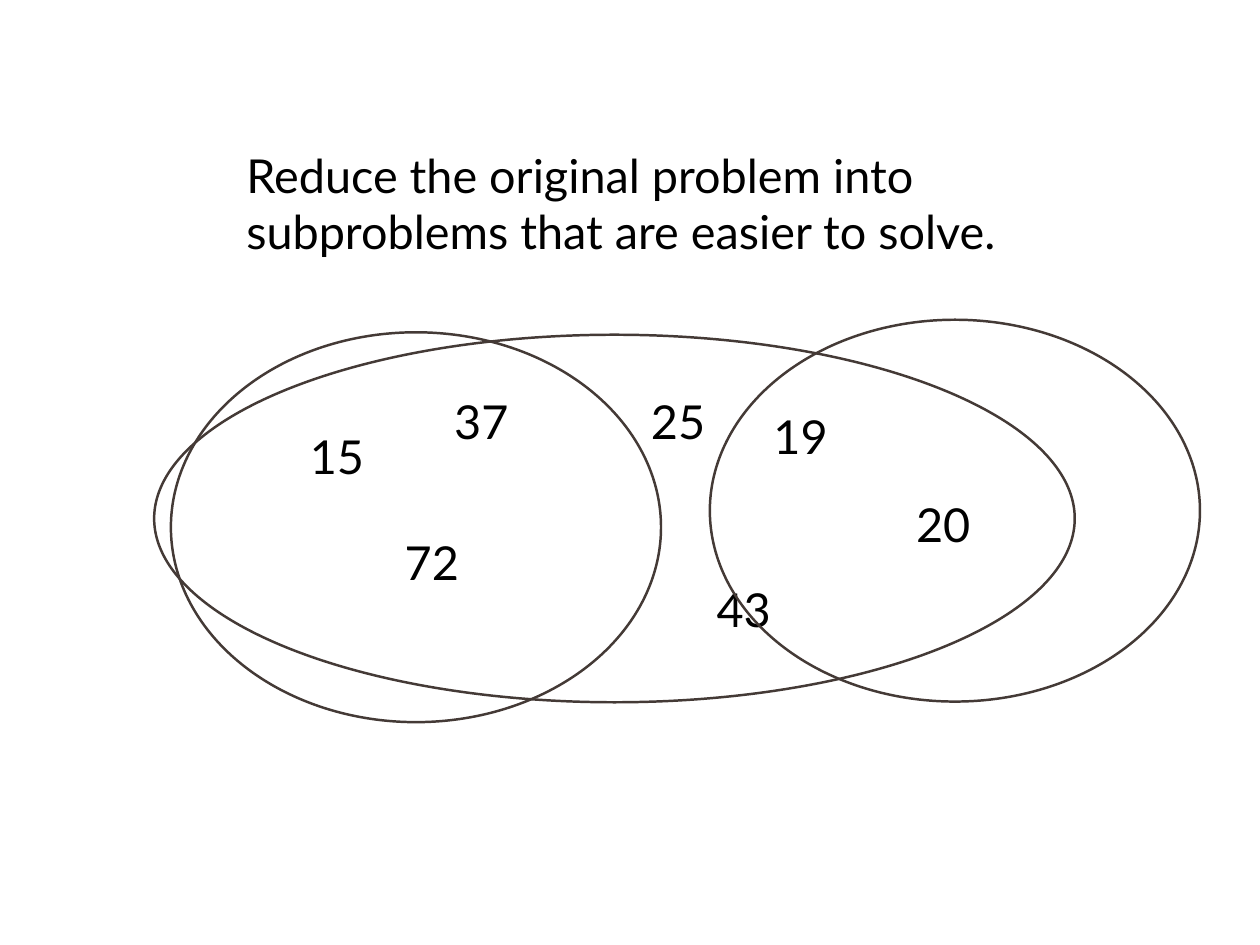
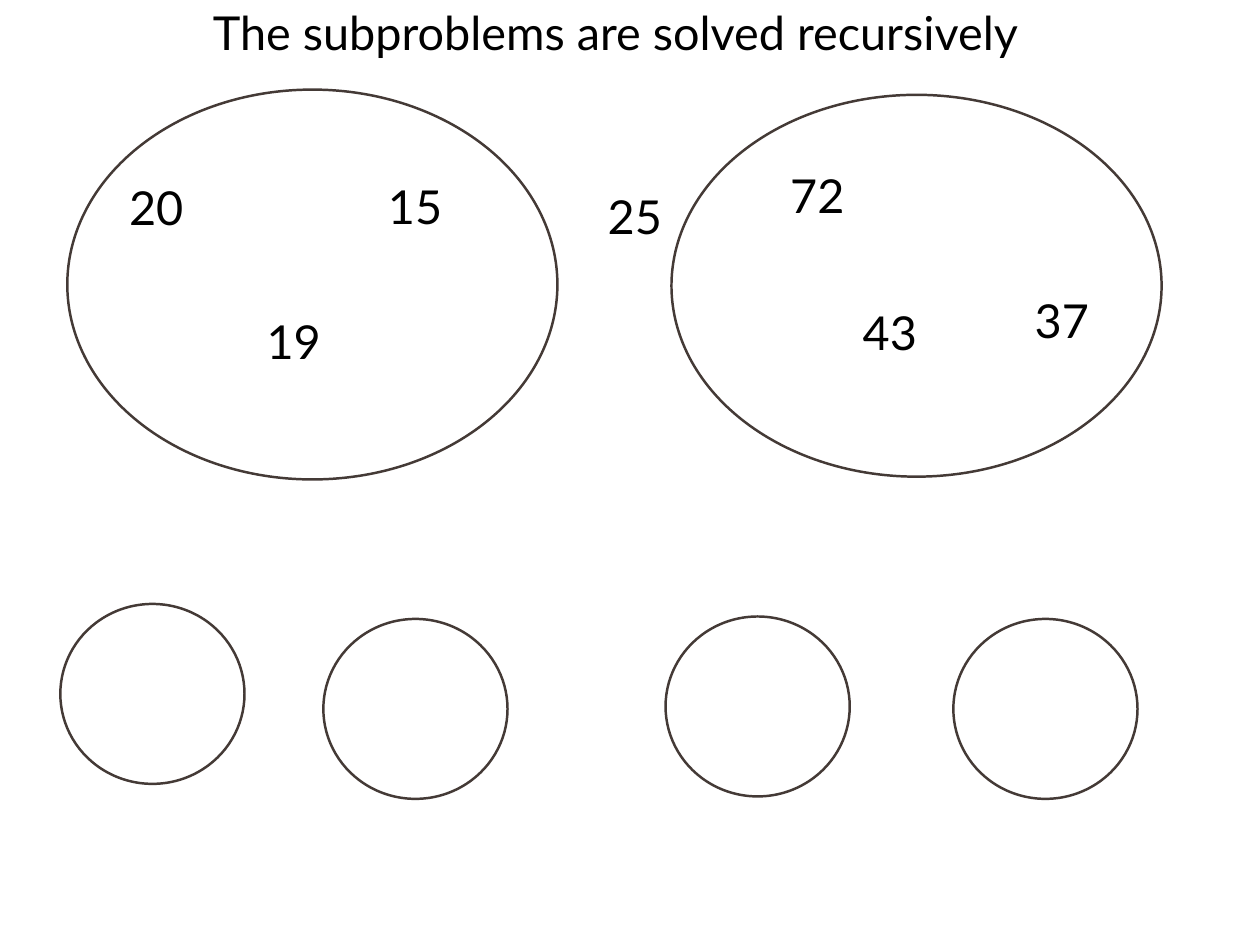
from pptx import Presentation
from pptx import util as u
from pptx.dml.color import RGBColor
from pptx.enum import shapes, text

COLOURS = {"ink": "000000", "outline": "443A36", "paper": "FFFFFF"}
FONT = {"name": "Lato", "size": u.Pt(38), "bold": False}
FRAME = {
    "margin_left": 0, "margin_top": 0, "margin_right": 0, "margin_bottom": 0,
    "vertical_anchor": text.MSO_ANCHOR.MIDDLE,
    "auto_size": text.MSO_AUTO_SIZE.NONE,
}
NUMBER_SIZE = (1.7, 1.96)
LARGE_LEFT = (14.05, 11.18)
LARGE_RIGHT = (14.05, 10.95)
SMALL = (5.28, 5.16)


def colour(name):
    return RGBColor.from_string(COLOURS[name])


def assign(target, values):
    for attribute, value in values.items():
        setattr(target, attribute, value)


def write(holder, words, align, wrap):
    frame = holder.text_frame
    frame.text = words
    assign(frame, {**FRAME, "word_wrap": wrap})
    line = frame.paragraphs[0]
    line.alignment = align
    font = line.runs[0].font
    assign(font, FONT)
    font.color.rgb = colour("ink")


def titled_slide(deck, words, box):
    slide = deck.slides.add_slide(deck.slide_layouts[5])
    slide.background.fill.solid()
    slide.background.fill.fore_color.rgb = colour("paper")
    title = slide.shapes.title
    assign(title, dict(zip(("left", "top", "width", "height"), map(u.Cm, box))))
    write(title, words, text.PP_ALIGN.LEFT, True)
    return slide


def add_number(slide, value, left, top):
    number = slide.shapes.add_textbox(*map(u.Cm, (left, top, *NUMBER_SIZE)))
    write(number, str(value), text.PP_ALIGN.CENTER, False)


def add_set(slide, corner, size, members=()):
    left, top = corner
    ring = slide.shapes.add_shape(
        shapes.MSO_SHAPE.OVAL, *map(u.Cm, (*corner, *size)))
    ring.shadow.inherit = False
    ring.fill.background()
    ring.line.color.rgb = colour("outline")
    ring.line.width = u.Pt(2)
    for value, across, down in members:
        add_number(slide, value, left + across, top + down)


def reduce_slide(deck):
    slide = titled_slide(
        deck,
        "Reduce the original problem into subproblems that are easier to solve.",
        (7.06, 3.99, 25.88, 3.63))
    add_set(slide, (4.9, 9.53), LARGE_LEFT)
    add_set(slide, (4.42, 9.6), (26.39, 10.54), [
        (25, 14.17, 1.5), (19, 17.68, 1.93), (15, 4.39, 2.49),
        (20, 21.77, 4.45), (72, 7.11, 5.54), (43, 16.05, 6.88),
        (37, 8.53, 1.5)])
    add_set(slide, (20.35, 9.17), LARGE_RIGHT)


def recursion_slide(deck):
    slide = titled_slide(
        deck, "The subproblems are solved recursively", (6.1, -0.08, 25.88, 1.96))
    add_set(slide, (1.93, 2.57), LARGE_LEFT,
            [(19, 5.64, 6.22), (15, 9.12, 2.36), (20, 1.7, 2.38)])
    add_number(slide, 25, 17.35, 5.21)
    add_set(slide, (19.25, 2.72), LARGE_RIGHT,
            [(72, 3.33, 1.88), (43, 5.41, 5.81), (37, 10.34, 5.46)])
    for corner in ((1.73, 17.32), (9.27, 17.75), (19.08, 17.68), (27.33, 17.75)):
        add_set(slide, corner, SMALL)


def main():
    deck = Presentation()
    assign(deck, {"slide_width": u.Cm(36.12), "slide_height": u.Cm(27.1)})
    reduce_slide(deck)
    recursion_slide(deck)
    deck.save("out.pptx")


if __name__ == "__main__":
    main()
